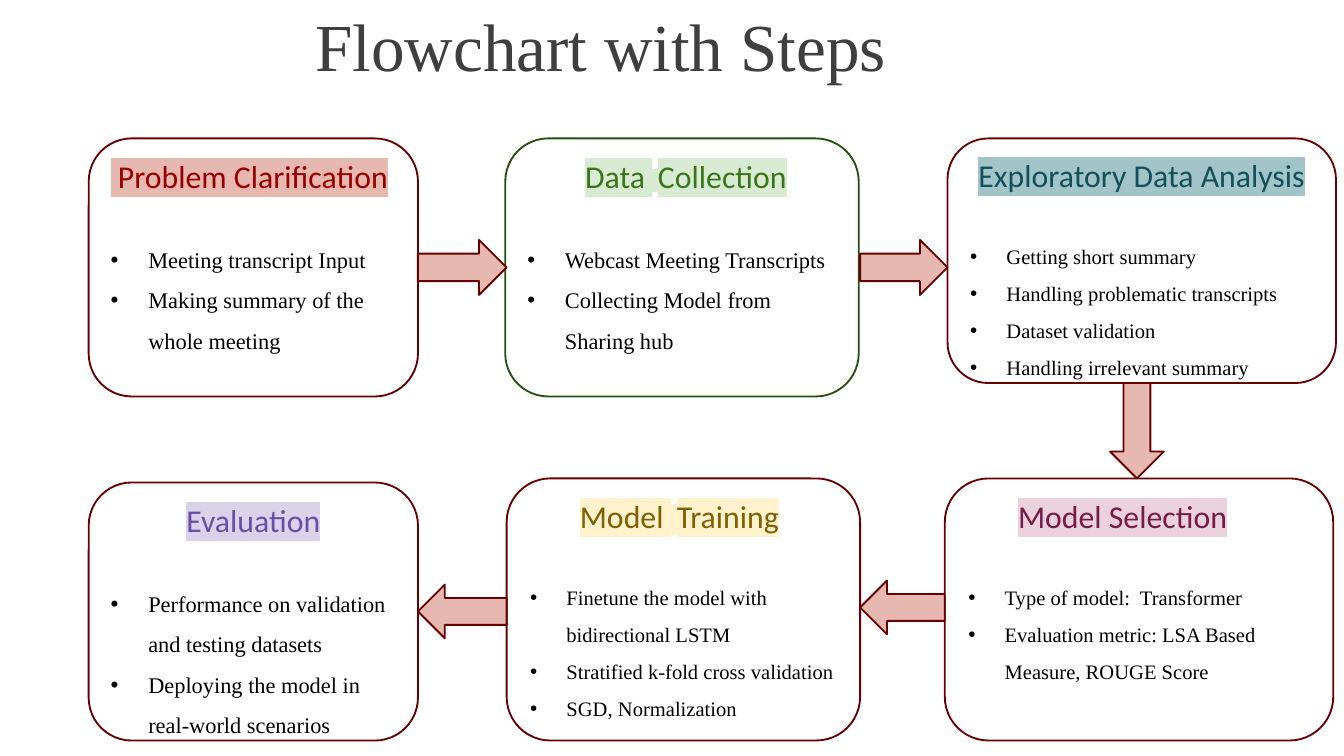
from lxml import etree
from pptx import Presentation
from pptx.dml.color import RGBColor
from pptx.enum.shapes import MSO_SHAPE as Shape
from pptx.enum.text import MSO_ANCHOR as Anchor, MSO_AUTO_SIZE as Fit, PP_ALIGN as Align
from pptx.oxml.ns import qn
from pptx.util import Inches, Pt

SERIF = "Times New Roman"
SANS = "Calibri"
MAROON = "660000"


def color(code):
    return RGBColor.from_string(code)


def add_run(para, text, size, face, ink, mark=None):
    run = para.add_run()
    run.text = text
    font = run.font
    font.size = Pt(size)
    font.color.rgb = color(ink)
    if mark:
        light = etree.SubElement(font._element, qn("a:highlight"))
        etree.SubElement(light, qn("a:srgbClr"), val=mark)
    font.name = face


def indent(para, left, first=0):
    props = para._p.get_or_add_pPr()
    props.set("marL", str(Inches(left)))
    props.set("indent", str(Inches(first)))
    return props


def add_bullet(para, hang):
    props = indent(para, 0.28, -hang)
    tint = etree.SubElement(props, qn("a:buClr"))
    etree.SubElement(tint, qn("a:srgbClr"), val="000000")
    etree.SubElement(props, qn("a:buFont"), typeface="Arial")
    etree.SubElement(props, qn("a:buChar"), char="•")


def add_block(slide, kind, box, fill, line):
    shape = slide.shapes.add_shape(kind, *map(Inches, box))
    shape.shadow.inherit = False
    shape.fill.solid()
    shape.fill.fore_color.rgb = color(fill)
    shape.line.color.rgb = color(line)
    shape.line.width = Pt(1)
    return shape


def set_insets(frame, left, top, right, bottom):
    frame.margin_left, frame.margin_top = Inches(left), Inches(top)
    frame.margin_right, frame.margin_bottom = Inches(right), Inches(bottom)
    frame.word_wrap = True
    frame.vertical_anchor = Anchor.TOP


def add_title(slide, box, text):
    title = slide.shapes.title
    title.left, title.top, title.width, title.height = map(Inches, box)
    frame = title.text_frame
    frame.auto_size = Fit.NONE
    # The wide right inset centres the text left of the middle
    set_insets(frame, 0.1, 0.1, 0.86, 0.1)
    para = frame.paragraphs[0]
    para.alignment = Align.CENTER
    para.line_spacing = 0.9
    add_run(para, text, 36, SERIF, "3F3F3F")


def add_step(slide, box, line, head, ink, mark, shift, size, points):
    """Place a step; a shift of None centres its heading."""
    shape = add_block(slide, Shape.FLOWCHART_ALTERNATE_PROCESS, box, "FFFFFF", line)
    frame = shape.text_frame
    set_insets(frame, 0.07, 0.04, 0.07, 0.04)

    # Heading
    para = frame.paragraphs[0]
    para.alignment = Align.CENTER if shift is None else Align.LEFT
    if shift:
        indent(para, shift)
    for text, high, face in head:
        add_run(para, text, high, face, ink, mark)

    # Bullets
    for i, text in enumerate(points):
        para = frame.add_paragraph()
        add_bullet(para, 0.28 if size == 12 else 0.27)
        para.alignment = Align.LEFT
        para.line_spacing = 1.5
        para.space_before = Pt(0 if i else 20.5)
        add_run(para, text, size, SERIF, "000000")


def add_arrow(slide, kind, start, end, mid):
    """Fill the gap from start to end, centred on mid across it."""
    thick = 0.41 if kind == Shape.RIGHT_ARROW else 0.4
    if kind == Shape.DOWN_ARROW:
        box = mid - thick / 2, start, thick, end - start
    else:
        box = start, mid - thick / 2, end - start, thick
    add_block(slide, kind, box, "E6B8AF", MAROON)


STEPS = [
    ((0.66, 1.03, 2.45, 1.92), MAROON, [(" Problem Clarification", 17, SANS)],
     "980000", "E6B8AF", 0, 12,
     ["Meeting transcript Input", "Making summary of the whole meeting"]),
    ((3.76, 1.03, 2.63, 1.92), "274E13",
     [("Data ", 17, SANS), (" ", 11, "Arial"), ("Collection", 17, SANS)],
     "38761D", "D9EAD3", 0.43, 12,
     ["Webcast Meeting Transcripts", "Collecting Model from Sharing hub"]),
    ((7.05, 1.03, 2.89, 1.82), MAROON, [("Exploratory Data Analysis", 17, SANS)],
     "134F5C", "A2C4C9", None, 11,
     ["Getting short summary", "Handling problematic transcripts",
      "Dataset validation", "Handling irrelevant summary"]),
    ((0.66, 3.59, 2.45, 1.92), MAROON, [("Evaluation", 17, SANS)],
     "674EA7", "D9D2E9", None, 12,
     ["Performance on validation and testing datasets",
      "Deploying the model in real-world scenarios"]),
    ((3.77, 3.56, 2.63, 1.95), MAROON,
     [("Model ", 17, SANS), (" ", 14, SANS), ("Training", 17, SANS)],
     "7F6000", "FFF2CC", 0.38, 11,
     ["Finetune the model with bidirectional LSTM",
      "Stratified k-fold cross validation", "SGD, Normalization"]),
    ((7.03, 3.56, 2.89, 1.95), MAROON, [("Model Selection", 17, SANS)],
     "741B47", "EAD1DC", 0.38, 11,
     ["Type of model:  Transformer",
      "Evaluation metric: LSA Based Measure, ROUGE Score"]),
]

ARROWS = [
    (Shape.RIGHT_ARROW, 3.11, 3.77, 1.99),
    (Shape.RIGHT_ARROW, 6.4, 7.05, 1.99),
    (Shape.DOWN_ARROW, 2.85, 3.56, 8.46),
    (Shape.LEFT_ARROW, 6.4, 7.03, 4.52),
    (Shape.LEFT_ARROW, 3.11, 3.77, 4.55),
]


def main():
    deck = Presentation()
    deck.slide_width = Inches(10)
    deck.slide_height = deck.slide_width * 9 // 16
    slide = deck.slides.add_slide(deck.slide_layouts[5])
    add_title(slide, (0.11, 0, 9.48, 0.75), "Flowchart with Steps")
    for step in STEPS:
        add_step(slide, *step)
    for arrow in ARROWS:
        add_arrow(slide, *arrow)
    deck.save("out.pptx")


if __name__ == "__main__":
    main()
